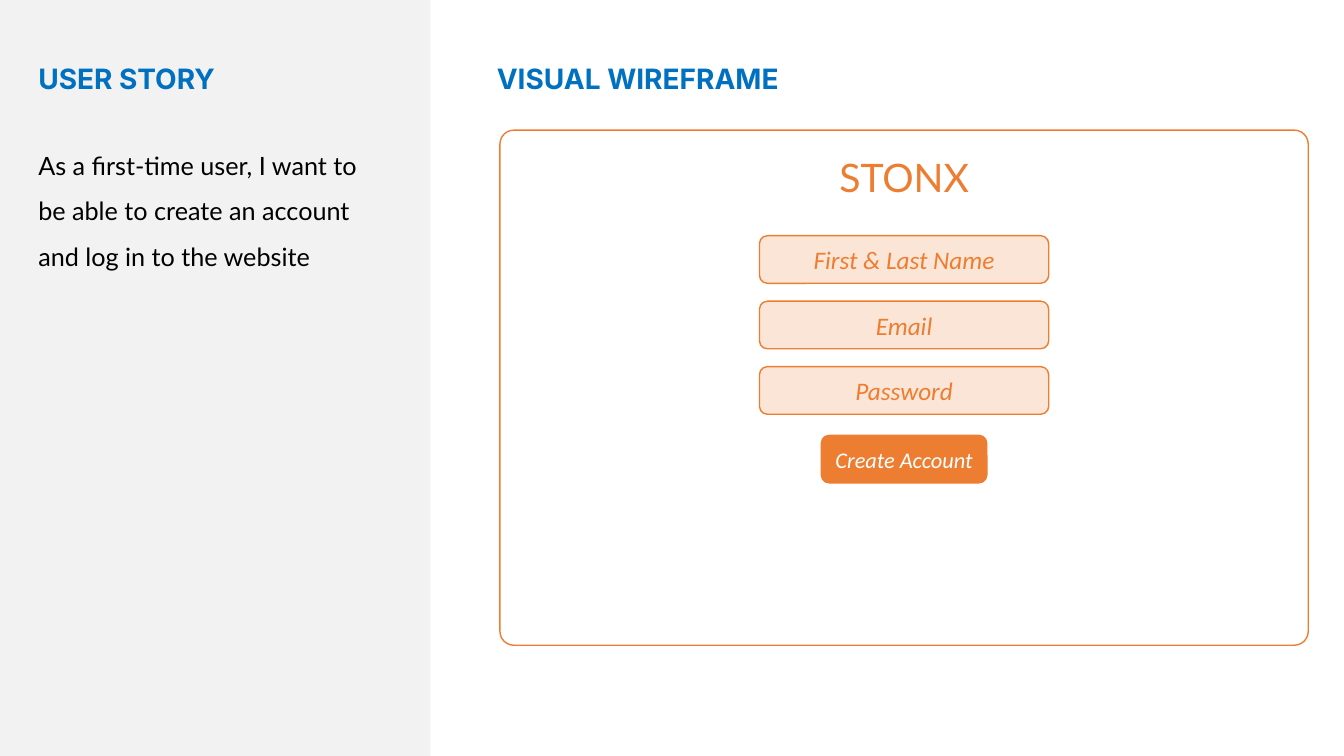
from lxml.etree import SubElement
from pptx import Presentation
from pptx.dml.color import RGBColor as Rgb
from pptx.enum.shapes import MSO_SHAPE as Kind
from pptx.enum.text import MSO_ANCHOR as Anchor, MSO_AUTO_SIZE as Fit, PP_ALIGN as Align
from pptx.oxml.ns import qn
from pptx.util import Cm, Pt

HUES = {"panel": "F2F2F2", "head": "0070C0", "ink": "000000",
        "white": "FFFFFF", "main": "ED7D31", "tint": "FBE5D6"}
FIELDS = ["First & Last Name", "Email", "Password"]


def hue(name):
    return Rgb.from_string(HUES[name])


def place(shape, left, top, width, height):
    shape.left, shape.top = Cm(left), Cm(top)
    shape.width, shape.height = Cm(width), Cm(height)


def write(shape, text, size, face, color, align=Align.LEFT, anchor=Anchor.TOP,
          bold=False, slant=False):
    frame = shape.text_frame
    frame.text = text
    frame.word_wrap = True
    frame.auto_size = Fit.NONE
    frame.vertical_anchor = anchor
    para = frame.paragraphs[0]
    para.alignment = align
    para.space_before = Pt(0)
    font = para.font
    font.size, font.name = Pt(size), face
    font.bold, font.italic = bold, slant
    font.color.rgb = hue(color)
    return para


def head(shape, text, left, top):
    place(shape, left, top, 8.36, 1.12)
    write(shape, text, 20, "Inter", "head", bold=True)


def block(slide, kind, box, fill, line=None):
    shape = slide.shapes.add_shape(kind, *map(Cm, box))
    shape.shadow.inherit = False
    shape.fill.solid()
    shape.fill.fore_color.rgb = hue(fill)
    if line:
        shape.line.color.rgb = hue(line)
        shape.line.width = Pt(1)
    else:
        shape.line.fill.background()
    return shape


def story(slide, left, top, width, height):
    panel = block(slide, Kind.RECTANGLE, (left, top, width, height), "panel")
    slide.shapes._spTree.insert(2, panel._element)
    head(slide.shapes.title, "USER STORY", left + 0.71, top + 1.42)
    body = slide.placeholders[1]
    place(body, left + 0.71, top + 3.28, 8.84, 3.58)
    para = write(body, "As a first-time user, I want to be able to create "
                 "an account and log in to the website", 18, "Lato", "ink")
    para.line_spacing = 1.5
    props = para._p.get_or_add_pPr()
    props.set("marL", "0")
    props.set("indent", "0")
    SubElement(props, qn("a:buNone"))


def form(slide, left, top, width, height):
    frame = block(slide, Kind.ROUNDED_RECTANGLE, (left, top, width, height), "white", "main")
    frame.adjustments[0] = 0.027
    mid = left + width / 2

    def button(text, y, wide, size, fill, color):
        box = (mid - wide / 2, top + y, wide, 1.2)
        shape = block(slide, Kind.ROUNDED_RECTANGLE, box, fill, "main")
        write(shape, text, size, "Calibri", color, Align.CENTER, Anchor.MIDDLE, slant=True)

    brand = slide.shapes.add_textbox(Cm(mid - 3.87), Cm(top + 0.45), Cm(7.74), Cm(1.45))
    write(brand, "STONX", 28, "Lato", "main", Align.CENTER)
    for row, text in enumerate(FIELDS):
        button(text, 2.66 + row * 1.65, 7.29, 18, "tint", "main")
    button("Create Account", 7.69, 4.17, 16, "main", "white")


def wire(slide, left, top):
    title = slide.shapes.add_textbox(0, 0, 0, 0)
    head(title, "VISUAL WIREFRAME", left, top + 1.42)
    form(slide, left + 0.33, top + 3.28, 20.37, 12.98)


def main():
    deck = Presentation()
    deck.slide_width, deck.slide_height = Cm(33.87), Cm(19.05)
    slide = deck.slides.add_slide(deck.slide_layouts[1])
    story(slide, 0, 0, 10.85, 19.05)
    wire(slide, 12.27, 0)
    deck.save("out.pptx")


if __name__ == "__main__":
    main()
